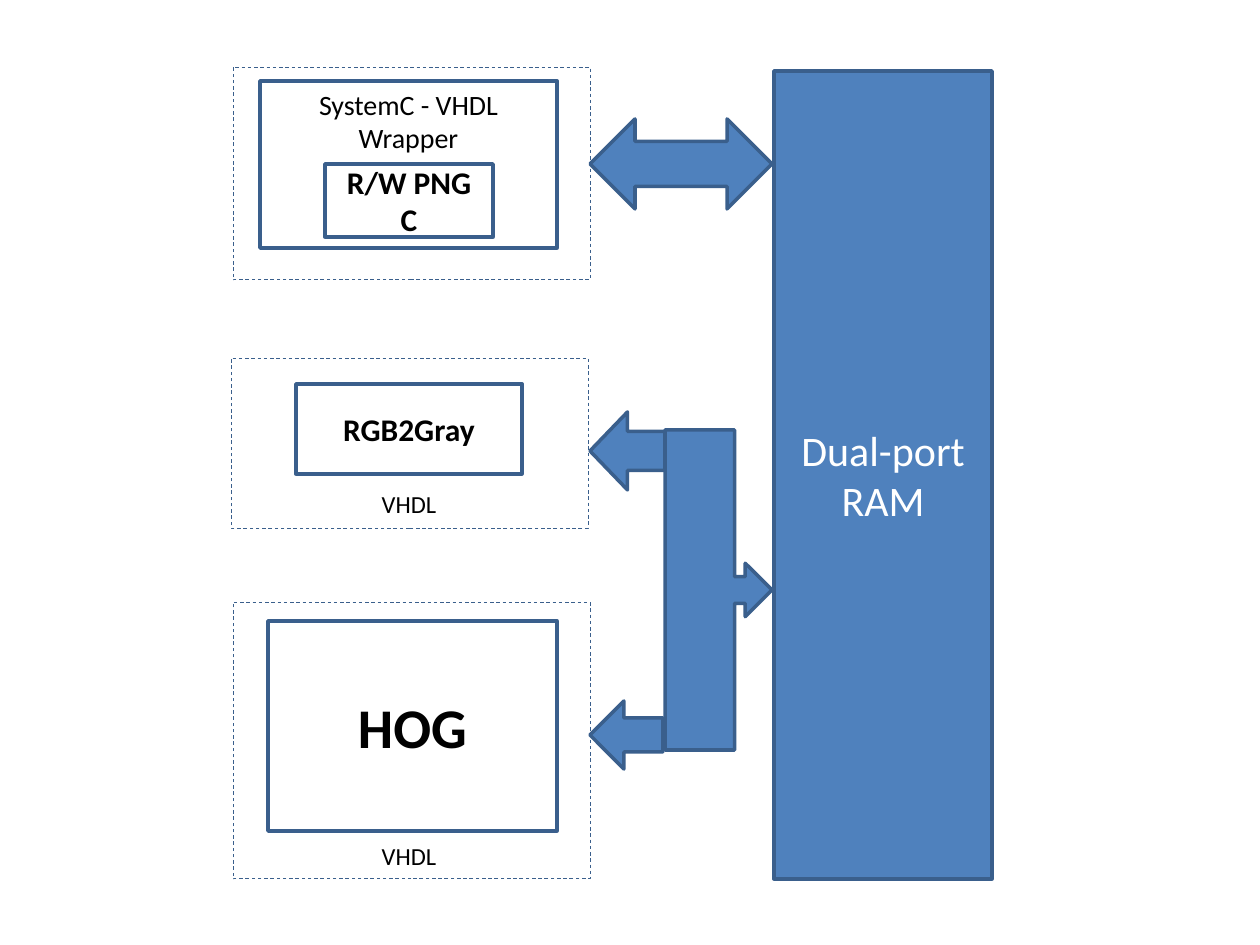
"""Build a block diagram of processing modules sharing a dual-port RAM."""
from dataclasses import dataclass

from pptx import Presentation
from pptx.dml.color import RGBColor
from pptx.enum.dml import MSO_LINE
from pptx.enum.shapes import MSO_SHAPE
from pptx.enum.text import MSO_ANCHOR, PP_ALIGN
from pptx.util import Emu, Pt

RECTANGLE = MSO_SHAPE.RECTANGLE
DOUBLE_ARROW = MSO_SHAPE.LEFT_RIGHT_ARROW
LEFT_ARROW = MSO_SHAPE.LEFT_ARROW
CALLOUT = MSO_SHAPE.RIGHT_ARROW_CALLOUT
DASH = MSO_LINE.DASH
TOP, MIDDLE = MSO_ANCHOR.TOP, MSO_ANCHOR.MIDDLE
CENTER = PP_ALIGN.CENTER

EMU_PER_PIXEL = 914400 / 126
FONT = "Calibri"
BLUE, EDGE, BLACK, WHITE = "4F81BD", "3A5F8C", "000000", "FFFFFF"


@dataclass(frozen=True)
class Label:
    text: str
    size: int
    bold: bool = False
    color: str = BLACK
    anchor: MSO_ANCHOR = MIDDLE


@dataclass(frozen=True)
class Block:
    area: tuple[int, int, int, int]
    label: Label | None = None
    fill: str | None = None
    kind: MSO_SHAPE = RECTANGLE
    dashed: bool = False


BLOCKS = [
    Block((296, 384, 226, 90), Label("RGB2Gray", 18, bold=True)),
    Block((231, 358, 357, 170), dashed=True),
    Block((590, 119, 182, 90), fill=BLUE, kind=DOUBLE_ARROW),
    Block((233, 67, 357, 213), dashed=True),
    Block((774, 71, 218, 808), Label("Dual-port RAM", 24, color=WHITE), BLUE),
    Block((260, 81, 297, 167), Label("SystemC - VHDL Wrapper", 16, anchor=TOP)),
    Block((325, 164, 168, 73), Label("R/W PNG C", 18, bold=True)),
    Block((268, 621, 289, 210), Label("HOG", 32, bold=True), WHITE),
    Block((233, 602, 357, 277), dashed=True),
    Block((665, 430, 107, 320), fill=BLUE, kind=CALLOUT),
    Block((590, 412, 75, 78), fill=BLUE, kind=LEFT_ARROW),
    Block((590, 701, 73, 68), fill=BLUE, kind=LEFT_ARROW),
]
CAPTION = Label("VHDL", 14, anchor=TOP)
CAPTION_TOPS = (483, 835)


def px(pixels: int) -> Emu:
    """Convert pixels to EMU."""
    return Emu(round(pixels * EMU_PER_PIXEL))


def rgb(value: str) -> RGBColor:
    """Convert a hex string to a colour."""
    return RGBColor.from_string(value)


def write(box, label: Label) -> None:
    """Write a centred label in a box."""
    frame = box.text_frame
    frame.word_wrap = True
    frame.vertical_anchor = label.anchor
    para = frame.paragraphs[0]
    para.alignment = CENTER
    span = para.add_run()
    span.text = label.text
    span.font.name = FONT
    span.font.size = Pt(label.size)
    span.font.bold = label.bold
    span.font.color.rgb = rgb(label.color)


def draw_block(page, block: Block) -> None:
    """Draw one outlined shape with its label."""
    box = page.shapes.add_shape(block.kind, *map(px, block.area))
    box.shadow.inherit = False
    if block.fill:
        box.fill.solid()
        box.fill.fore_color.rgb = rgb(block.fill)
    else:
        box.fill.background()
    box.line.color.rgb = rgb(EDGE)
    box.line.width = Pt(0.5 if block.dashed else 2)
    if block.dashed:
        box.line.dash_style = DASH
    if block.label:
        write(box, block.label)


def main() -> None:
    """Create and save the deck."""
    deck = Presentation()
    deck.slide_width, deck.slide_height = px(1260), px(945)
    page = deck.slides.add_slide(deck.slide_layouts[6])
    for block in BLOCKS:
        draw_block(page, block)
    for top in CAPTION_TOPS:
        write(page.shapes.add_textbox(*map(px, (296, top, 226, 43))), CAPTION)
    deck.save("out.pptx")


main()
